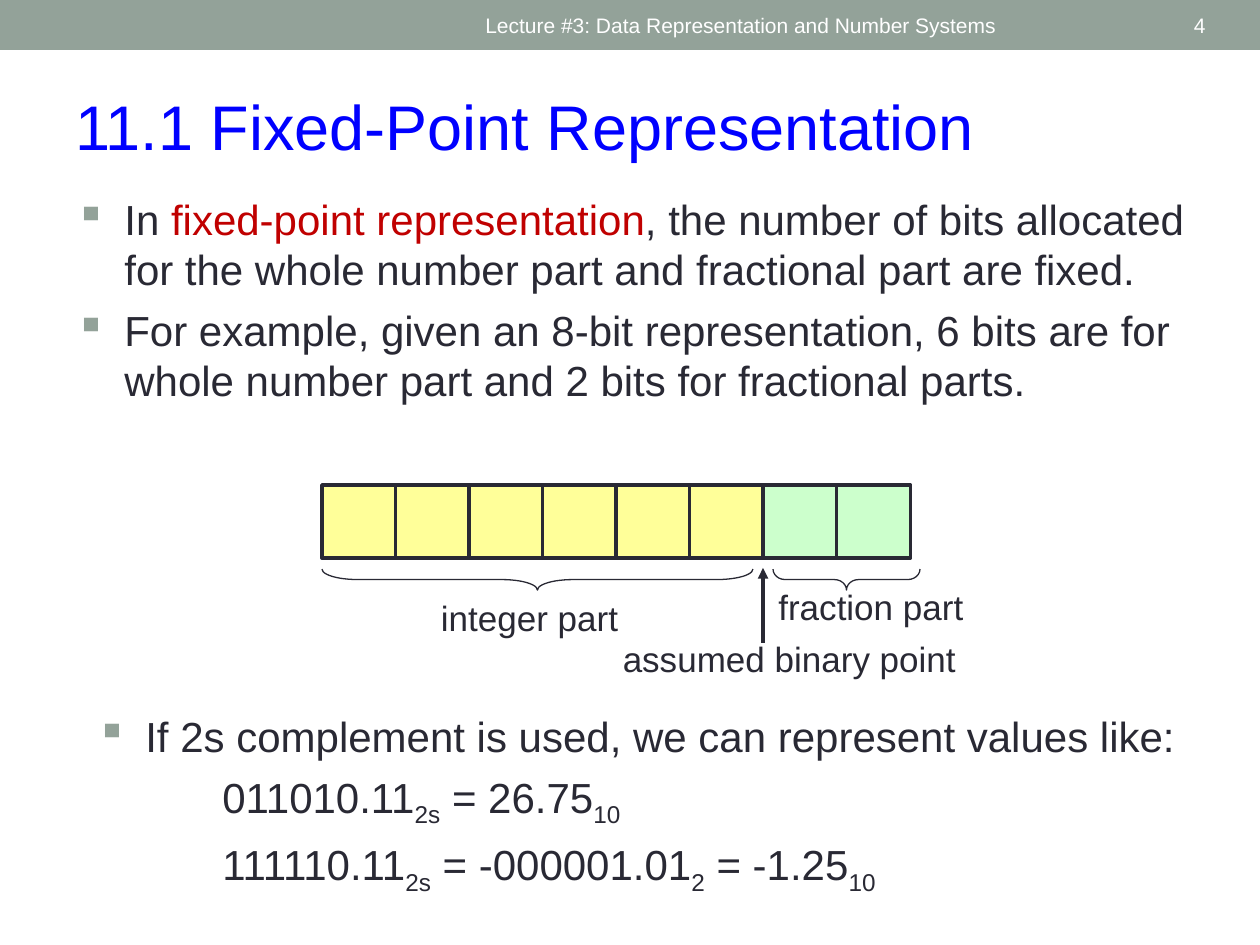
import pptx
import pptx.util
import pptx.oxml
import pptx.oxml.ns
import pptx.dml.color
import pptx.enum.shapes
import pptx.enum.text

PX = 914400 / 126
FONT = "Arial"
RGB = pptx.dml.color.RGBColor
SAGE = RGB(0x93, 0xA2, 0x99)
WHITE = RGB(0xFF, 0xFF, 0xFF)
BLUE = RGB(0x00, 0x00, 0xFF)
INK = RGB(0x29, 0x29, 0x34)
RED = RGB(0xC0, 0x00, 0x00)
YELLOW = RGB(0xFF, 0xFF, 0x99)
GREEN = RGB(0xCC, 0xFF, 0xCC)

SHAPE = pptx.enum.shapes.MSO_SHAPE
ALIGN = pptx.enum.text.PP_ALIGN
ANCHOR = pptx.enum.text.MSO_ANCHOR
qn = pptx.oxml.ns.qn


def px(n):
    return pptx.util.Emu(round(n * PX))


def box(*lengths):
    return [px(n) for n in lengths]


def add_run(p, text, size, color, sub=False):
    r = p.add_run()
    r.text = text
    r.font.name = FONT
    r.font.size = pptx.util.Pt(size)
    r.font.color.rgb = color
    if sub:
        r._r.get_or_add_rPr().set("baseline", "-25000")


def add_label(s, at, text, size, color, align, anchor=ANCHOR.TOP):
    tf = s.shapes.add_textbox(*box(*at)).text_frame
    tf.word_wrap = True
    tf.vertical_anchor = anchor
    p = tf.paragraphs[0]
    p.alignment = align
    add_run(p, text, size, color)


def set_title(s, at, text):
    sp = s.shapes.title
    sp.left, sp.top, sp.width, sp.height = box(*at)
    tf = sp.text_frame
    tf.vertical_anchor = ANCHOR.TOP
    p = tf.paragraphs[0]
    p.alignment = ALIGN.LEFT
    add_run(p, text, 36, BLUE)


def set_indent(p, left, first=0):
    pPr = p._p.get_or_add_pPr()
    pPr.set("marL", str(px(left)))
    pPr.set("indent", str(px(first)))
    return pPr


def set_bullet(p):
    pPr = set_indent(p, 49, -49)
    clr = pptx.oxml.parse_xml(
        f'<a:buClr {pptx.oxml.ns.nsdecls("a")}><a:srgbClr val="{SAGE}"/></a:buClr>')
    char = pptx.oxml.parse_xml(
        f'<a:buChar {pptx.oxml.ns.nsdecls("a")} char="▪"/>')
    pPr.extend([clr, char])


def add_body(s, at, paragraphs):
    """Each paragraph is (bulleted, runs); a run is (text, color, subscript)."""
    tf = s.shapes.add_textbox(*box(*at)).text_frame
    tf.word_wrap = True
    tf.margin_right = 0
    for i, (bulleted, runs) in enumerate(paragraphs):
        p = tf.add_paragraph() if i else tf.paragraphs[0]
        p.space_before = pptx.util.Pt(6)
        if bulleted:
            set_bullet(p)
        else:
            set_indent(p, 126)
        for text, color, sub in runs:
            add_run(p, text, 24, color, sub)


def equation(*parts):
    """Parts alternate between normal text and subscript."""
    return False, [(text, INK, i % 2 == 1) for i, text in enumerate(parts)]


def add_rect(s, at, fill, line=None):
    sp = s.shapes.add_shape(SHAPE.RECTANGLE, *box(*at))
    sp.shadow.inherit = False
    sp.fill.solid()
    sp.fill.fore_color.rgb = fill
    if line is None:
        sp.line.fill.background()
    else:
        sp.line.color.rgb = line
        sp.line.width = pptx.util.Pt(2)


def add_brace(s, left, top, width, height, curve):
    """Brace opening upwards that covers the given area once rotated."""
    shift = (width - height) / 2
    sp = s.shapes.add_shape(
        SHAPE.LEFT_BRACE, *box(left + shift, top - shift, height, width))
    sp.rotation = 270
    sp.adjustments[0] = curve
    sp.shadow.inherit = False
    sp.fill.background()
    sp.line.color.rgb = INK
    sp.line.width = pptx.util.Pt(0.75)


def add_arrow(s, x1, y1, x2, y2):
    c = s.shapes.add_connector(
        pptx.enum.shapes.MSO_CONNECTOR.STRAIGHT, *box(x1, y1, x2, y2))
    c.line.color.rgb = INK
    c.line.width = pptx.util.Pt(2)
    tail = c.line._get_or_add_ln().makeelement(qn("a:tailEnd"), {"type": "triangle"})
    c.line._get_or_add_ln().append(tail)
    spPr = c._element.spPr
    spPr.append(spPr.makeelement(qn("a:effectLst"), {}))


def add_bit_diagram(s):
    add_arrow(s, 763, 643, 763, 568)
    for text, at in (("assumed binary point", (574, 631, 431, 54)),
                     ("integer part", (427, 590, 205, 54)),
                     ("fraction part", (763, 579, 216, 54))):
        add_label(s, at, text, 20, INK, ALIGN.CENTER)
    for i, fill in enumerate([YELLOW] * 6 + [GREEN] * 2):
        add_rect(s, (322 + 73.5 * i, 485, 74, 73), fill, INK)
    add_brace(s, 773, 569, 147, 21, 0.58)
    add_brace(s, 322, 569, 431, 21, 1.71)


def main():
    prs = pptx.Presentation()
    prs.slide_width, prs.slide_height = box(1260, 945)
    s = prs.slides.add_slide(prs.slide_layouts[5])

    add_rect(s, (0, 0, 1260, 50), SAGE)
    add_label(s, (473, 3, 567, 45), "Lecture #3: Data Representation and Number Systems",
              12, WHITE, ALIGN.LEFT, ANCHOR.MIDDLE)
    add_label(s, (1098, 3, 120, 45), "4", 12, WHITE, ALIGN.RIGHT, ANCHOR.MIDDLE)
    set_title(s, (63, 81, 1134, 89), "11.1 Fixed-Point Representation")

    add_body(s, (63, 187, 1134, 295), [
        (True, [("In ", INK, False),
                ("fixed-point representation", RED, False),
                (", the number of bits allocated for the whole number part"
                 " and fractional part are fixed.", INK, False)]),
        (True, [("For example, given an 8-bit representation, 6 bits are for"
                 " whole number part and 2 bits for fractional parts.", INK, False)]),
    ])
    add_bit_diagram(s)
    add_body(s, (84, 704, 1134, 192), [
        (True, [("If 2s complement is used, we can represent values like:", INK, False)]),
        equation("011010.11", "2s", " = 26.75", "10"),
        equation("111110.11", "2s", " = -000001.01", "2", " = -1.25", "10"),
    ])
    prs.save("out.pptx")


if __name__ == "__main__":
    main()
